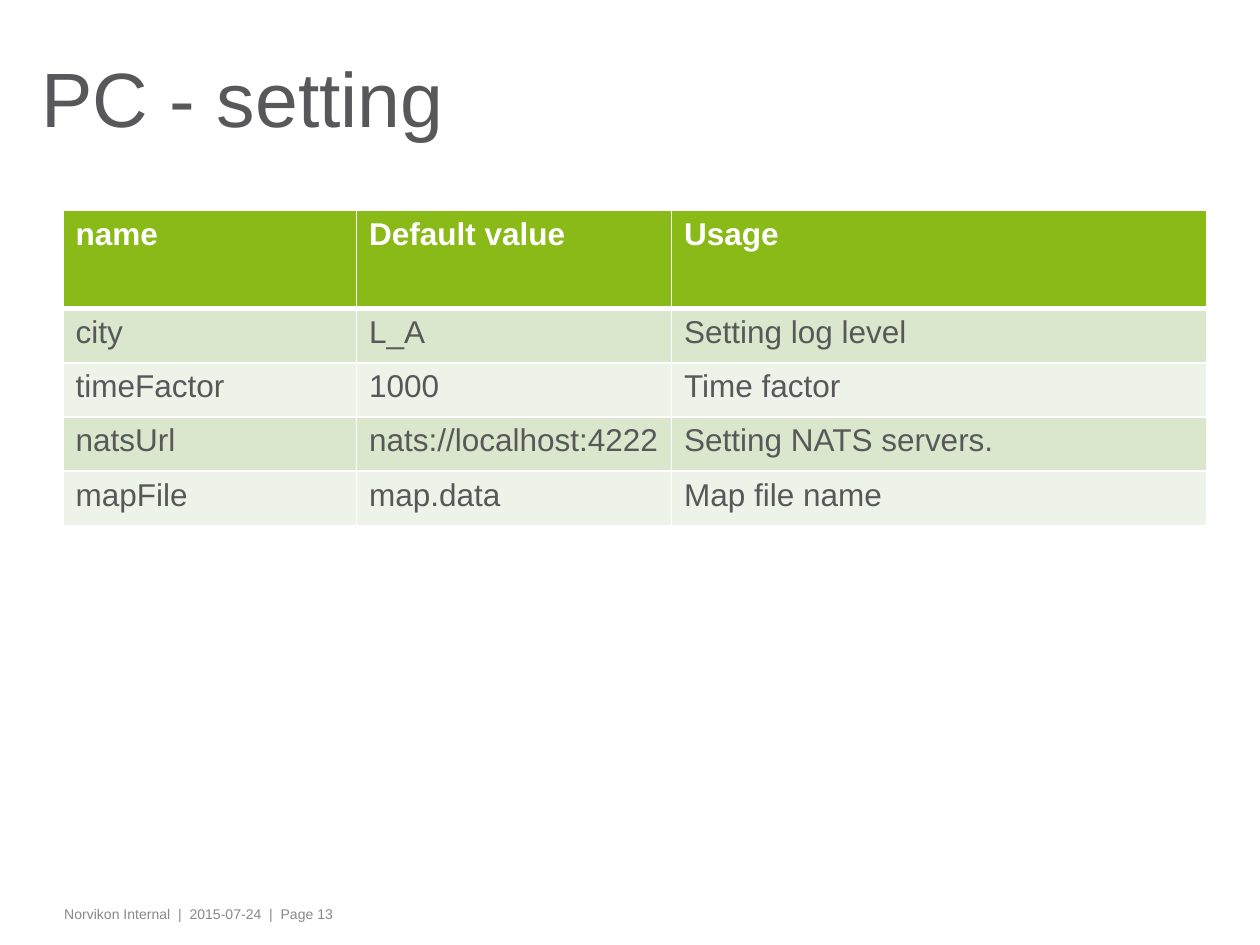
from lxml.etree import SubElement
from pptx import Presentation
from pptx.dml.color import RGBColor
from pptx.enum.text import MSO_ANCHOR, MSO_AUTO_SIZE, PP_ALIGN
from pptx.oxml.ns import qn
from pptx.util import Inches, Pt

COLORS = {
    "header": "89BA17",
    "odd_row": "DAE7CC",
    "even_row": "EDF3E8",
    "white": "FFFFFF",
    "text": "58585A",
    "footer": "87888A",
}
SETTINGS = [
    ("name", "Default value", "Usage"),
    ("city", "L_A", "Setting log level"),
    ("timeFactor", "1000", "Time factor"),
    ("natsUrl", "nats://localhost:4222", "Setting NATS servers."),
    ("mapFile", "map.data", "Map file name"),
]
COLUMN_WIDTHS = (2.33, 2.5, 4.25)
HEADER_HEIGHT, ROW_HEIGHT = 0.78, 0.43


def add_run(paragraph, text, size, color, bold=False):
    """Append one formatted Arial run."""
    run = paragraph.add_run()
    run.text = text
    run.font.name = "Arial"
    run.font.size = Pt(size)
    run.font.bold = bold
    run.font.color.rgb = RGBColor.from_string(COLORS[color])


def set_frame(frame, vertical_inset, anchor):
    """Set the insets, wrapping and anchor of a text frame."""
    frame.word_wrap = True
    frame.auto_size = MSO_AUTO_SIZE.NONE
    frame.vertical_anchor = anchor
    frame.margin_left = frame.margin_right = Inches(0.08)
    frame.margin_top = frame.margin_bottom = Inches(vertical_inset)


def add_title(slide, text):
    """Place and fill the title placeholder."""
    title = slide.shapes.title
    title.left, title.top = Inches(0.25), Inches(0.25)
    title.width, title.height = Inches(8.82), Inches(1.19)
    set_frame(title.text_frame, 0, MSO_ANCHOR.MIDDLE)
    heading = title.text_frame.paragraphs[0]
    heading.alignment = PP_ALIGN.LEFT
    heading.line_spacing = 0.75
    add_run(heading, text, 44, "text")


def add_footer(slide, text):
    """Add the small line at the foot of the slide."""
    footer = slide.shapes.add_textbox(
        Inches(0.43), Inches(7.14), Inches(8.09), Inches(0.24))
    set_frame(footer.text_frame, 0.05, MSO_ANCHOR.TOP)
    add_run(footer.text_frame.paragraphs[0], text, 8, "footer")


def set_borders(cell, bottom_width, top_width):
    """Draw white borders around a cell."""
    properties = cell._tc.get_or_add_tcPr()
    widths = {"lnL": 1, "lnR": 1, "lnT": top_width, "lnB": bottom_width}
    for side, width in widths.items():
        line = SubElement(properties, qn(f"a:{side}"), w=str(Pt(width)))
        fill = SubElement(line, qn("a:solidFill"))
        SubElement(fill, qn("a:srgbClr"), val=COLORS["white"])


def fill_cell(cell, text, row):
    """Format one cell according to its row."""
    is_header = row == 0
    set_borders(cell, 3 if is_header else 1, 3 if row == 1 else 1)
    background = "header" if is_header else "odd_row" if row % 2 else "even_row"
    cell.fill.solid()
    cell.fill.fore_color.rgb = RGBColor.from_string(COLORS[background])
    add_run(cell.text_frame.paragraphs[0], text, 18,
            "white" if is_header else "text", bold=is_header)


def add_settings_table(slide):
    """Add the table of settings, defaults and usage."""
    heights = [HEADER_HEIGHT] + [ROW_HEIGHT] * (len(SETTINGS) - 1)
    settings = slide.shapes.add_table(
        len(heights), len(COLUMN_WIDTHS), Inches(0.5), Inches(1.67),
        Inches(sum(COLUMN_WIDTHS)), Inches(sum(heights))).table
    for column, width in zip(settings.columns, COLUMN_WIDTHS):
        column.width = Inches(width)
    for row, (height, values) in enumerate(zip(heights, SETTINGS)):
        settings.rows[row].height = Inches(height)
        for column, value in enumerate(values):
            fill_cell(settings.cell(row, column), value, row)


def main():
    """Build and save the slide."""
    deck = Presentation()
    deck.slide_width, deck.slide_height = Inches(10), Inches(7.5)
    slide = deck.slides.add_slide(deck.slide_layouts[5])
    add_footer(slide, "Norvikon Internal  |  2015-07-24  |  Page 13")
    add_title(slide, "PC - setting")
    add_settings_table(slide)
    deck.save("out.pptx")


main()
